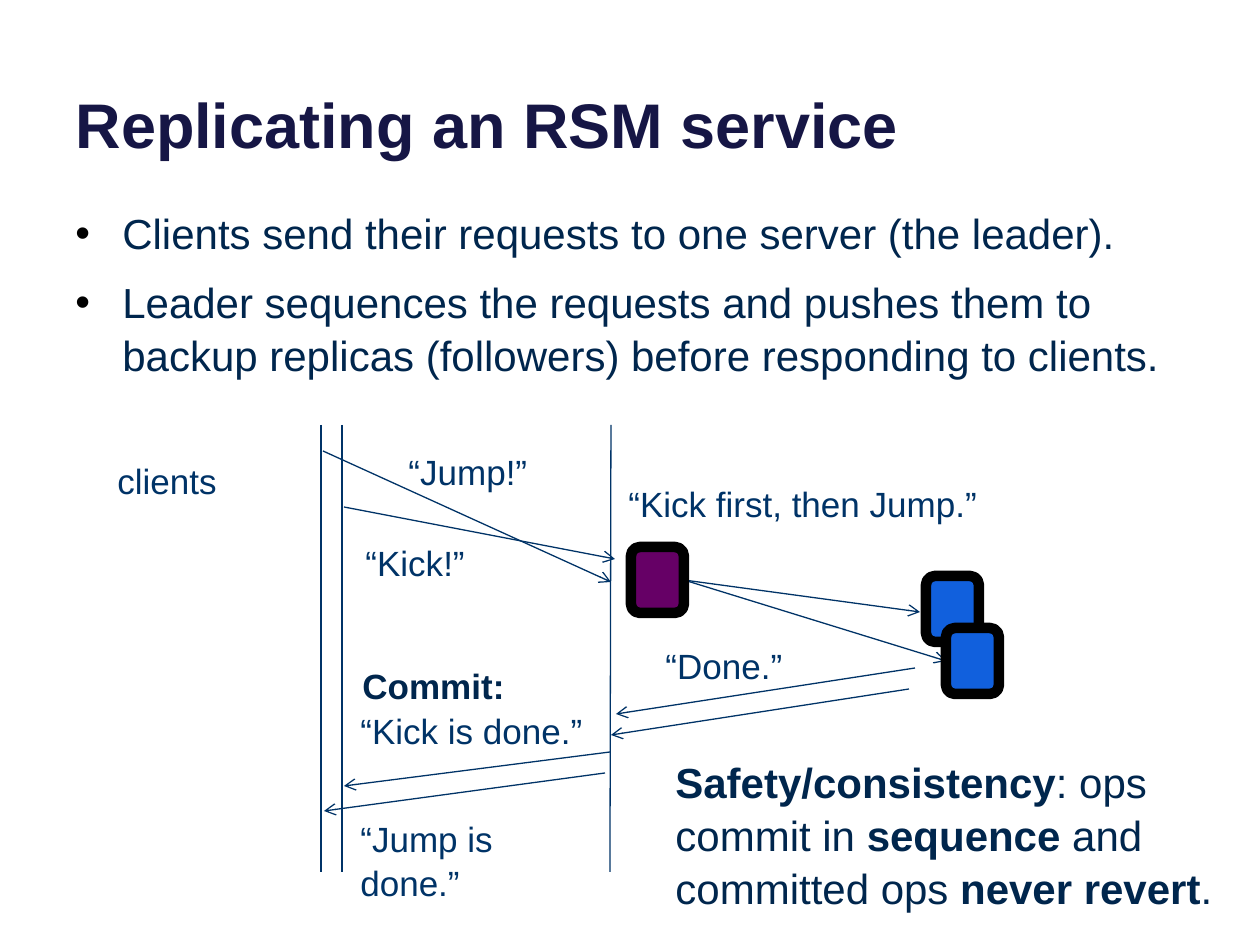
"""Build the slide on replicating an RSM service."""
from lxml import etree
from pptx import Presentation
from pptx.dml.color import RGBColor
from pptx.enum.shapes import MSO_CONNECTOR as Link, MSO_SHAPE as Form
from pptx.enum.text import MSO_ANCHOR as Anchor, MSO_AUTO_SIZE as Fit, PP_ALIGN as Align
from pptx.oxml.ns import qn
from pptx.util import Pt

NAVY = RGBColor(0x16, 0x16, 0x45)
DARK = RGBColor(0x00, 0x26, 0x4D)
BLUE = RGBColor(0x00, 0x33, 0x67)
SKY = RGBColor(0x11, 0x60, 0xDD)
PLUM = RGBColor(0x66, 0x00, 0x66)
BLACK = RGBColor(0x00, 0x00, 0x00)
SCALE = 914400 / 126


def px(*nums):
    return [round(n * SCALE) for n in nums]


def write(para, runs, size, color, bold=None):
    for text, heavy in runs:
        run = para.add_run()
        run.text = text
        if heavy:
            run.font.bold = True
    font = para.font
    font.name, font.size, font.bold = "Arial", Pt(size), bold
    font.color.rgb = color


deck = Presentation()
deck.slide_width, deck.slide_height = px(1260, 945)
slide = deck.slides.add_slide(deck.slide_layouts[5])
shapes = slide.shapes

title = shapes.title
title.left, title.top, title.width, title.height = px(63, -47, 1134, 214)
frame = title.text_frame
frame.auto_size, frame.vertical_anchor = Fit.NONE, Anchor.BOTTOM
para = frame.paragraphs[0]
para.alignment = Align.LEFT
write(para, [("Replicating an RSM service", False)], 36, NAVY, True)

points = [
    "Clients send their requests to one server (the leader).",
    "Leader sequences the requests and pushes them to backup replicas "
    "(followers) before responding to clients.",
]
frame = shapes.add_textbox(*px(63, 199, 1134, 158)).text_frame
frame.word_wrap = True
for i, text in enumerate(points):
    para = frame.add_paragraph() if i else frame.paragraphs[0]
    para.line_spacing = 1.05
    if i:
        para.space_before = Pt(9)
    props = para._p.get_or_add_pPr()
    hang, = px(47)
    props.set("marL", str(hang))
    props.set("indent", str(-hang))
    tint = etree.SubElement(props, qn("a:buClr"))
    etree.SubElement(tint, qn("a:srgbClr")).set("val", str(BLACK))
    etree.SubElement(props, qn("a:buFont")).set("typeface", "Arial")
    etree.SubElement(props, qn("a:buChar")).set("char", "•")
    write(para, [(text, False)], 24, DARK)

lines = [(x, 425, end, 872, False) for x, end in [(321, 321), (342, 342), (611, 610)]]
lines += [
    (684, 580, 920, 612, True),
    (684, 580, 946, 660, True),
    (323, 451, 611, 582, True),
    (344, 507, 615, 559, True),
    (915, 668, 616, 714, True),
    (909, 689, 611, 735, True),
    (610, 752, 344, 786, True),
    (605, 773, 324, 811, True),
]
links = []
for x, y, right, low, arrow in lines:
    link = shapes.add_connector(Link.STRAIGHT, *px(x, y, right, low))
    link.line.color.rgb, link.line.width = BLUE, Pt(0.75)
    if arrow:
        etree.SubElement(link.line._get_or_add_ln(), qn("a:tailEnd")).set("type", "arrow")
    etree.SubElement(link._element.spPr, qn("a:effectLst"))
    links.append(link)

nodes = []
for x, y, fill in [(631, 547, PLUM), (926, 576, SKY), (946, 628, SKY)]:
    node = shapes.add_shape(Form.ROUNDED_RECTANGLE, *px(x, y, 53, 66))
    node.shadow.inherit = False
    node.fill.solid()
    node.fill.fore_color.rgb = fill
    node.line.color.rgb, node.line.width = BLACK, Pt(6)
    nodes.append(node)
for link in links[3:5]:
    link.begin_connect(nodes[0], 3)
links[4].end_connect(nodes[2], 1)

safety = [
    ("Safety/consistency", True), (": ops commit in ", False),
    ("sequence", True), (" and committed ops ", False),
    ("never revert", True), (".", False),
]
labels = [
    (105, 451, 190, "clients"),
    (396, 442, 169, "“Jump!”"),
    (353, 533, 142, "“Kick!”"),
    (616, 474, 403, "“Kick first, then Jump.”"),
    (653, 636, 146, "“Done.”"),
    (348, 701, 266, "“Kick is done.”"),
    (348, 809, 266, "“Jump is done.”"),
]
notes = [(x, y, w, 55, [(text, False)], 20, BLUE) for x, y, w, text in labels]
notes += [
    (350, 656, 171, 55, [("Commit:", True)], 20, DARK),
    (663, 748, 597, 165, safety, 24, DARK),
]
for x, y, w, h, runs, size, color in notes:
    frame = shapes.add_textbox(*px(x, y, w, h)).text_frame
    frame.word_wrap, frame.auto_size = True, Fit.SHAPE_TO_FIT_TEXT
    para = frame.paragraphs[0]
    para.line_spacing = 1.05
    write(para, runs, size, color)

deck.save("out.pptx")
